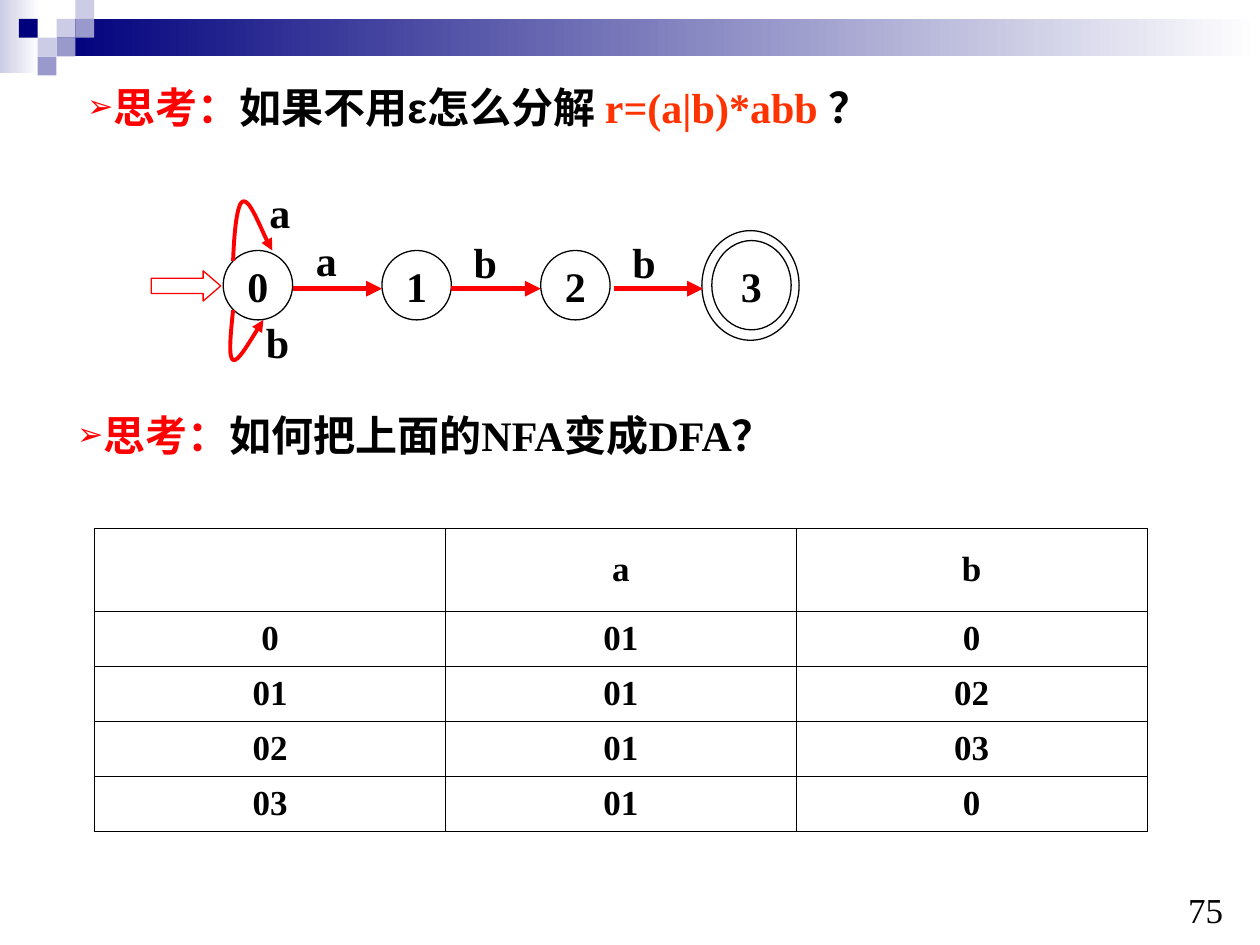
"""Build the slide on splitting a regular expression into an NFA and its DFA table."""
from typing import NamedTuple

from lxml import etree
from pptx import Presentation
from pptx.dml.color import RGBColor
from pptx.enum.shapes import MSO_CONNECTOR, MSO_SHAPE
from pptx.enum.text import MSO_ANCHOR, MSO_AUTO_SIZE, PP_ALIGN
from pptx.oxml import parse_xml
from pptx.oxml.ns import nsdecls, qn
from pptx.util import Cm, Pt

RECTANGLE, ELLIPSE, RIGHT_ARROW = MSO_SHAPE.RECTANGLE, MSO_SHAPE.OVAL, MSO_SHAPE.RIGHT_ARROW
STRAIGHT = MSO_CONNECTOR.STRAIGHT
CENTER, MIDDLE = PP_ALIGN.CENTER, MSO_ANCHOR.MIDDLE
FIXED_SIZE = MSO_AUTO_SIZE.NONE
SERIF, GREEK_FONT = "Times New Roman", "Arial"
BLACK, WHITE, RED, ORANGE = "000000", "FFFFFF", "FF0000", "FF3300"
NAVY, LILAC, VIOLET = "00007D", "CCCCE6", "9999CC"
TILE, STATE_SIZE, STATE_PITCH = 0.38, 1.4, 3.2


class Box(NamedTuple):
    left: float
    top: float
    width: float
    height: float

    def lengths(self) -> list:
        return [Cm(value) for value in self]


class State(NamedTuple):
    name: str
    box: Box


class Transition(NamedTuple):
    symbol: str
    start: float
    label_left: float
    label_top: float


class Loop(NamedTuple):
    symbol: str
    points: list
    label_left: float
    label_top: float


class Phrase(NamedTuple):
    text: str
    color: str = BLACK
    font: str = ""


STATES = [
    State(str(i), Box(4.5 + i * STATE_PITCH, 5.05, STATE_SIZE, STATE_SIZE)) for i in range(3)
] + [State("3", Box(14.35, 4.85, 1.6, 1.8)), State("", Box(14.15, 4.65, 1.96, 2.21))]
TRANSITIONS = [
    Transition("a", 5.9, 6.12, 4.6),
    Transition("b", 9.1, 9.3, 4.65),
    Transition("b", 12.37, 12.5, 4.65),
]
LOOPS = [
    Loop("a", [(4.7, 5.26), (4.72, 4.67), (4.78, 4.09), (4.9, 4.06),
               (5.03, 4.01), (5.38, 4.9), (5.49, 5.05)], 5.18, 3.63),
    Loop("b", [(4.7, 6.25), (4.65, 6.73), (4.6, 7.21), (4.7, 7.26),
               (4.8, 7.29), (5.05, 6.86), (5.31, 6.45)], 5.11, 6.25),
]
TILES = [(3, 1, LILAC), (4, 0, LILAC), (4, 1, VIOLET), (2, 2, LILAC),
         (1, 1, NAVY), (3, 2, VIOLET), (2, 3, VIOLET)]
QUESTIONS = [
    (Box(1.5, 1.52, 23.06, 1.27),
     [Phrase("思考：", RED), Phrase("如果不用"), Phrase("ε", font=GREEK_FONT),
      Phrase("怎么分解 "), Phrase("r=(a|b)*abb ", ORANGE), Phrase("？")]),
    (Box(1.3, 8.13, 23.06, 1.27),
     [Phrase("思考：", RED), Phrase("如何把上面的NFA变成DFA？")]),
]
DFA_ROWS = [("", "a", "b"), ("0", "01", "0"), ("01", "01", "02"),
            ("02", "01", "03"), ("03", "01", "0")]


def rgb(color: str) -> RGBColor:
    return RGBColor.from_string(color)


def style(paragraph, size: float, bold: bool = True) -> None:
    font = paragraph.font
    font.name, font.size, font.bold = SERIF, Pt(size), bold
    font.color.rgb = rgb(BLACK)


def draw_shape(slide, preset, box: Box):
    shape = slide.shapes.add_shape(preset, *box.lengths())
    shape.shadow.inherit = False
    return shape


def outline(shape, color: str, width: float) -> None:
    shape.line.color.rgb = rgb(color)
    shape.line.width = Pt(width)


def add_arrowhead(shape) -> None:
    etree.SubElement(shape.line._get_or_add_ln(), qn("a:tailEnd"), type="triangle")


def draw_gradient(slide, box: Box, color: str) -> None:
    band = draw_shape(slide, RECTANGLE, box)
    band.line.fill.background()
    band.fill.gradient()
    band.fill.gradient_angle = 0
    for stop, shade in zip(band.fill.gradient_stops, (color, WHITE)):
        stop.color.rgb = rgb(shade)


def draw_header(slide) -> None:
    draw_gradient(slide, Box(0, 0, 0.79, 1.47), LILAC)
    draw_gradient(slide, Box(3 * TILE, TILE, 25.4 - 3 * TILE, 0.76), NAVY)
    for column, row, color in TILES:
        tile = draw_shape(slide, RECTANGLE, Box(column * TILE, row * TILE, TILE, TILE))
        tile.fill.solid()
        tile.fill.fore_color.rgb = rgb(color)
        tile.line.fill.background()


def draw_text(slide, text: str, box: Box, size: float = 24, bold: bool = True) -> None:
    frame = slide.shapes.add_textbox(*box.lengths()).text_frame
    frame.word_wrap = True
    frame.text = text
    style(frame.paragraphs[0], size, bold)


def draw_label(slide, edge) -> None:
    draw_text(slide, edge.symbol, Box(edge.label_left, edge.label_top, 1.19, 1.27))


def draw_state(slide, state: State) -> None:
    circle = draw_shape(slide, ELLIPSE, state.box)
    circle.fill.background()
    outline(circle, BLACK, 0.75)
    if state.name:
        frame = circle.text_frame
        frame.word_wrap = False
        frame.vertical_anchor = MIDDLE
        frame.text = state.name
        frame.paragraphs[0].alignment = CENTER
        style(frame.paragraphs[0], 24)


def draw_transition(slide, edge: Transition) -> None:
    height = Cm(5.82)
    arrow = slide.shapes.add_connector(
        STRAIGHT, Cm(edge.start), height, Cm(edge.start + 1.8), height)
    outline(arrow, RED, 3)
    add_arrowhead(arrow)
    etree.SubElement(arrow._element.spPr, qn("a:effectLst"))
    draw_label(slide, edge)


def draw_loop(slide, loop: Loop) -> None:
    start, *controls = [(Cm(x), Cm(y)) for x, y in loop.points]
    builder = slide.shapes.build_freeform(*start)
    builder.add_line_segments(controls, close=False)
    curve = builder.convert_to_shape()
    segments = list(curve._element.iter(qn("a:lnTo")))
    for first in range(0, len(segments), 3):
        bezier = etree.SubElement(segments[first].getparent(), qn("a:cubicBezTo"))
        for segment in segments[first:first + 3]:
            bezier.append(segment[0])
            segment.getparent().remove(segment)
    curve.shadow.inherit = False
    curve.fill.background()
    outline(curve, RED, 2.25)
    add_arrowhead(curve)
    draw_label(slide, loop)


def write_question(placeholder, box: Box, phrases: list) -> None:
    placeholder.left, placeholder.top, placeholder.width, placeholder.height = box.lengths()
    frame = placeholder.text_frame
    frame.auto_size = FIXED_SIZE
    paragraph = frame.paragraphs[0]
    properties = paragraph._p.get_or_add_pPr()
    properties.set("marL", "0")
    properties.set("indent", "0")
    for bullet in (f'<a:buClr {nsdecls("a")}><a:srgbClr val="{RED}"/></a:buClr>',
                   f'<a:buSzPct {nsdecls("a")} val="75000"/>',
                   f'<a:buChar {nsdecls("a")} char="➢"/>'):
        properties.append(parse_xml(bullet))
    paragraph.space_before = Pt(0)
    style(paragraph, 24)
    for phrase in phrases:
        run = paragraph.add_run()
        run.text = phrase.text
        run.font.color.rgb = rgb(phrase.color)
        if phrase.font:
            run.font.name = phrase.font


def draw_dfa_table(slide) -> None:
    table = slide.shapes.add_table(
        len(DFA_ROWS), len(DFA_ROWS[0]), *Box(1.91, 10.64, 21.21, 6.12).lengths()).table
    table.first_row = table.horz_banding = False
    for index, (row, texts) in enumerate(zip(table.rows, DFA_ROWS)):
        row.height = Cm(1.11 if index else 1.68)
        for cell, text in zip(row.cells, texts):
            cell.text = text
            cell.vertical_anchor = MIDDLE
            cell.text_frame.paragraphs[0].alignment = CENTER
            style(cell.text_frame.paragraphs[0], 20)
            for side in ("lnL", "lnR", "lnT", "lnB"):
                cell._tc.get_or_add_tcPr().append(parse_xml(
                    f'<a:{side} {nsdecls("a")} w="{Pt(0.34)}"><a:solidFill>'
                    f'<a:srgbClr val="{BLACK}"/></a:solidFill></a:{side}>'))
            cell.fill.background()


def main() -> None:
    deck = Presentation()
    deck.slide_width, deck.slide_height = Cm(25.4), Cm(19.05)
    slide = deck.slides.add_slide(deck.slide_layouts[3])
    title, *bodies = slide.placeholders
    title._element.getparent().remove(title._element)
    draw_header(slide)
    for body, (box, phrases) in zip(bodies, QUESTIONS):
        write_question(body, box, phrases)
    entry = draw_shape(slide, RIGHT_ARROW, Box(3.05, 5.46, 1.4, 0.61))
    entry.adjustments[1] = 0.58
    entry.fill.background()
    outline(entry, RED, 0.75)
    for state in STATES:
        draw_state(slide, state)
    for transition in TRANSITIONS:
        draw_transition(slide, transition)
    for loop in LOOPS:
        draw_loop(slide, loop)
    draw_dfa_table(slide)
    draw_text(slide, "75", Box(23.7, 17.78, 1.7, 1.12), 20, bold=False)
    deck.save("out.pptx")


if __name__ == "__main__":
    main()
